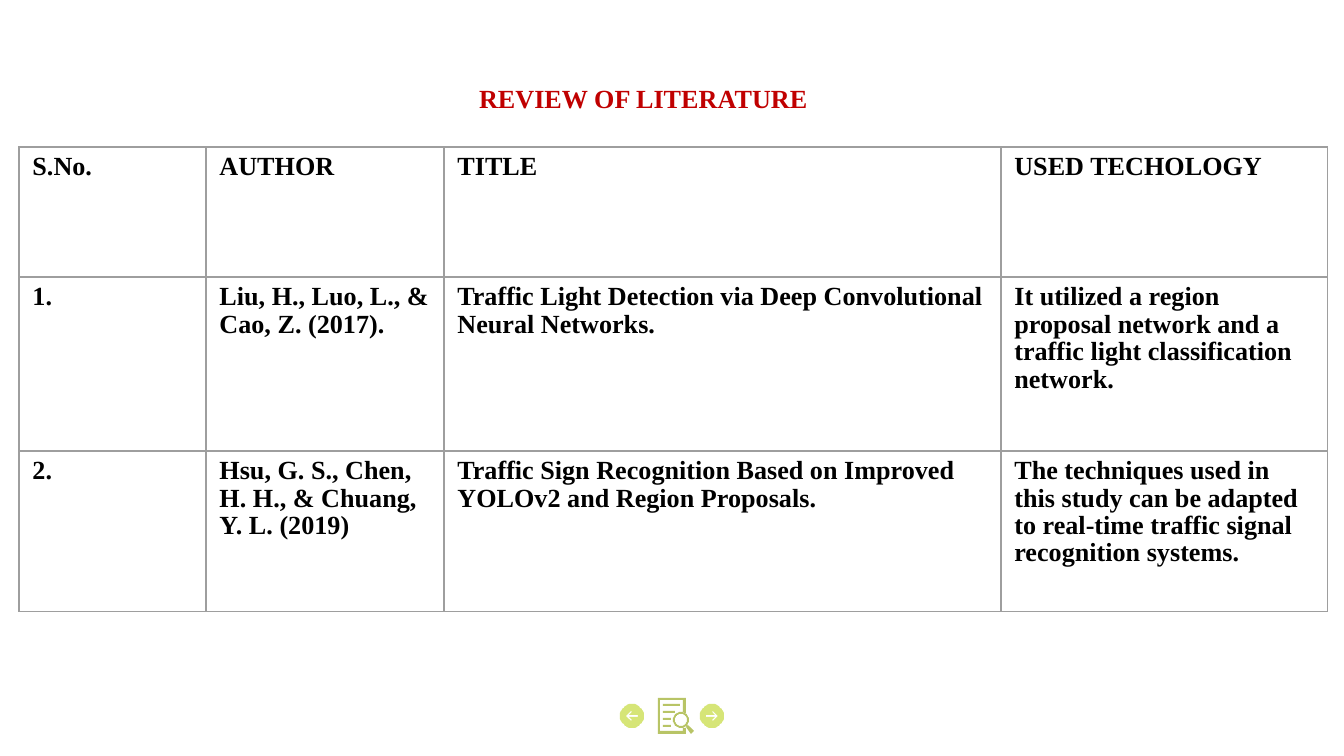
from math import cos, pi, sin

from lxml.etree import SubElement
from pptx import Presentation
from pptx.dml.color import RGBColor
from pptx.enum.text import MSO_ANCHOR, PP_ALIGN
from pptx.oxml import parse_xml
from pptx.oxml.ns import nsdecls
from pptx.util import Pt

PX = 914400 / 134.4
FONT = "Times New Roman"
LIME, OLIVE, RED, BLACK, GRAY = "D6E577", "B8C466", "C00000", "000000", "9E9E9E"

rgb = RGBColor.from_string


def add_text(tf, text, color):
    p = tf.paragraphs[0]
    p.alignment = PP_ALIGN.LEFT
    p.line_spacing = 0.95
    r = p.add_run()
    r.text = text
    r.font.name, r.font.size, r.font.bold = FONT, Pt(14), True
    r.font.color.rgb = rgb(color)


def add_outline(contours, color):
    """Draw closed contours as one filled shape; inner contours are holes."""
    first, *rest = contours
    fb = s.shapes.build_freeform(*first[0], scale=PX)
    fb.add_line_segments(first[1:])
    for points in rest:
        fb.move_to(*points[0])
        fb.add_line_segments(points[1:])
    sp = fb.convert_to_shape()
    sp.shadow.inherit = False
    sp.fill.solid()
    sp.fill.fore_color.rgb = rgb(color)
    sp.line.fill.background()


prs = Presentation()
prs.slide_width, prs.slide_height = round(1344 * PX), round(756 * PX)
s = prs.slides.add_slide(prs.slide_layouts[5])

# Title
title = s.shapes.title
title.left, title.top, title.width, title.height = (round(v * PX) for v in (466, 75, 672, 77))
tf = title.text_frame
tf.word_wrap = True
tf.vertical_anchor = MSO_ANCHOR.TOP
tf.margin_left = tf.margin_right = round(13 * PX)
tf.margin_top = round(10 * PX)
add_text(tf, "REVIEW OF LITERATURE", RED)

# Navigation arrows: a disc with an arrow cut out
circle = [(cos(i * pi / 24), sin(i * pi / 24)) for i in range(48)]
arrow = [(6, 0), (1, -5), (0, -4), (3, -1), (-6, -1), (-6, 1), (3, 1), (0, 4), (1, 5)]
for cx, way in ((632, -1), (712, 1)):
    disc = [(cx + 12 * x, 716 + 12 * y) for x, y in circle]
    add_outline([disc, [(cx + way * x, 716 + y) for x, y in arrow]], LIME)

# Document with magnifier
page = [(686, 713), (686, 698), (658, 698), (658, 734), (686, 734), (686, 728),
        (683, 728), (683, 731), (660, 731), (660, 700), (683, 700), (683, 713)]
handle = [(686, 727), (688, 725), (694, 731), (691, 734)]
lens = [[(681 + r * x, 720 + r * y) for x, y in circle] for r in (8, 6)]
bars = [[(663, y), (right, y), (right, y + 2), (663, y + 2)]
        for y, right in ((704, 680), (711, 675), (718, 671), (725, 671))]
add_outline([page, handle, *lens, *bars], OLIVE)

# Literature table
rows = [
    ("S.No.", "AUTHOR", "TITLE", "USED TECHOLOGY"),
    ("1.", "Liu, H., Luo, L., & Cao, Z. (2017).",
     "Traffic Light Detection via Deep Convolutional Neural Networks.",
     "It utilized a region proposal network and a traffic light classification network."),
    ("2.", "Hsu, G. S., Chen, H. H., & Chuang, Y. L. (2019)",
     "Traffic Sign Recognition Based on Improved YOLOv2 and Region Proposals.",
     "The techniques used in this study can be adapted to real-time traffic signal "
     "recognition systems."),
]
widths, heights = (187, 238, 557, 327), (130, 174, 161)
frame = s.shapes.add_table(len(rows), len(widths), *(
    round(v * PX) for v in (19, 147, sum(widths), sum(heights))))
table = frame.table
table.first_row = table.horz_banding = False
for column, width in zip(table.columns, widths):
    column.width = round(width * PX)
for row, height, texts in zip(table.rows, heights, rows):
    row.height = round(height * PX)
    for cell, text in zip(row.cells, texts):
        add_text(cell.text_frame, text, BLACK)
        tcPr = cell._tc.get_or_add_tcPr()
        for side in "LRTB":
            ln = parse_xml(f'<a:ln{side} {nsdecls("a")} w="{Pt(0.75)}"><a:solidFill>'
                           f'<a:srgbClr val="{GRAY}"/></a:solidFill></a:ln{side}>')
            tcPr.append(ln)
        cell.fill.background()

prs.save("out.pptx")
